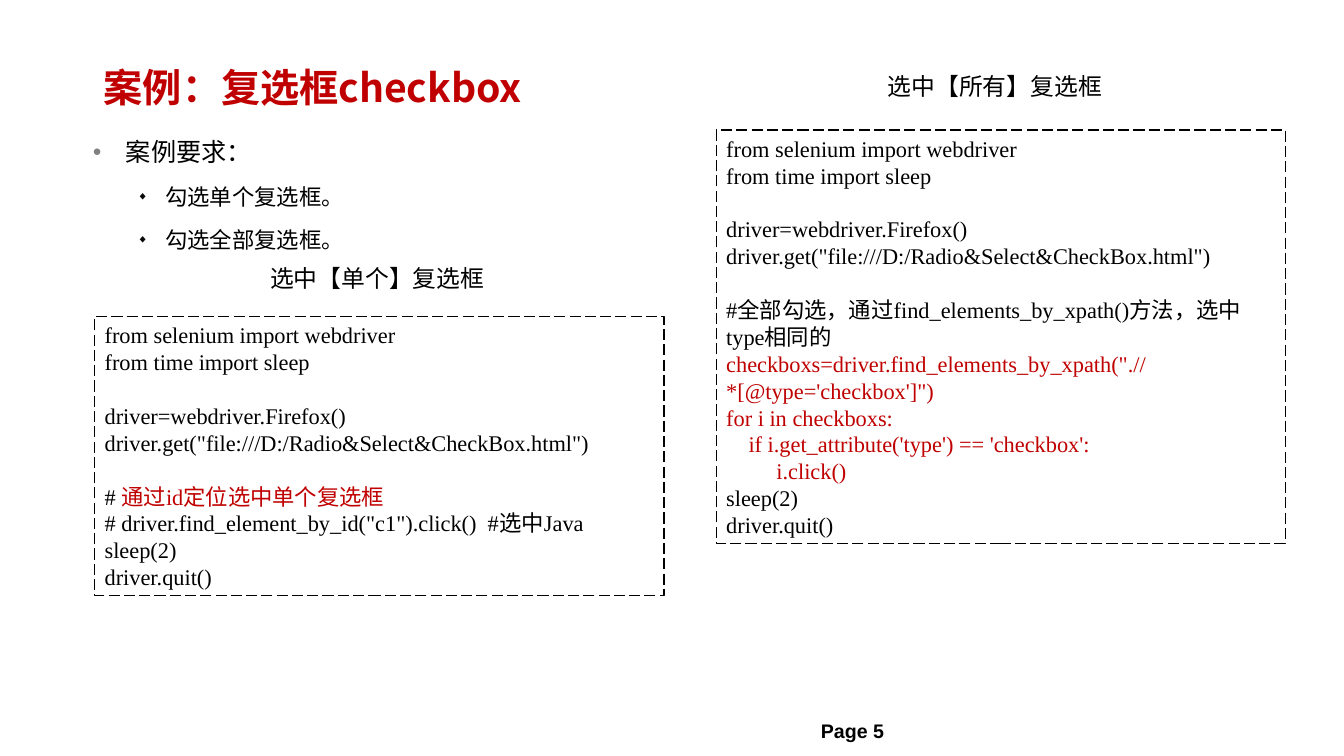
from lxml import etree
from pptx import Presentation
from pptx import util as u
from pptx.dml.color import RGBColor
from pptx.enum import dml, shapes, text
from pptx.oxml.ns import qn

BLACK = RGBColor(0x00, 0x00, 0x00)
WHITE = RGBColor(0xFF, 0xFF, 0xFF)
RED = RGBColor(0xC0, 0x00, 0x00)
SANS, SERIF, PAGE_FONT = "Noto Sans CJK SC", "Times New Roman", "Arial"

# Content; areas are left, top, width, height in percent of the slide
WIDTH, HEIGHT = u.Inches(13.34), u.Inches(7.5)

TITLE = "案例：复选框checkbox"
TITLE_AREA = (7.05, 5.2, 84.48, 12.67)

BODY = [(0, "案例要求："), (1, "勾选单个复选框。"), (1, "勾选全部复选框。")]
BODY_AREA = (6.22, 16.27, 37.86, 19.33)
# level: (size, space before, left indent, hanging, bullet, bullet colour, bullet percent)
LEVELS = {
    0: (18, 0, 0.33, 0.33, "●", "808080", 60),
    1: (16, 6, 0.72, 0.28, "◆", "080808", 50),
}

PAGE = "Page 5"
PAGE_AREA = (60.34, 94.4, 12.29, 4.27)

# Code lines are lists of (text, colour) pieces
SETUP = [[(line, BLACK)] if line else [] for line in (
    "from selenium import webdriver",
    "from time import sleep",
    "",
    "driver=webdriver.Firefox()",
    'driver.get("file:///D:/Radio&Select&CheckBox.html")',
    "",
)]
FINISH = [[("sleep(2)", BLACK)], [("driver.quit()", BLACK)]]
SINGLE = [
    [("# ", BLACK), ("通过id定位选中单个复选框", RED)],
    [('# driver.find_element_by_id("c1").click()  #选中Java', BLACK)],
]
ALL = [
    [("#全部勾选，通过find_elements_by_xpath()方法，选中type相同的", BLACK)],
    [("checkboxs=driver.find_elements_by_xpath(\".//*[@type='checkbox']\")", RED)],
    [("for i in checkboxs:", RED)],
    [("    if i.get_attribute('type') == 'checkbox':", RED)],
    [("         i.click()", RED)],
]
# caption, caption area, code, code area
PANELS = [
    ("选中【单个】复选框", (18.29, 34.27, 19.57, 5.2),
     SINGLE, (7.05, 41.87, 42.35, 36.93)),
    ("选中【所有】复选框", (64.24, 8.8, 19.57, 5.2),
     ALL, (53.3, 17.2, 42.35, 54.67)),
]


def place(area):
    return [int(share * side / 100) for share, side in zip(area, (WIDTH, HEIGHT) * 2)]


def move(sp, area):
    sp.left, sp.top, sp.width, sp.height = place(area)


def frame(sp, anchor=text.MSO_ANCHOR.TOP, inset=(0.1, 0.05)):
    tf = sp.text_frame
    tf.word_wrap = True
    tf.auto_size = text.MSO_AUTO_SIZE.NONE
    tf.vertical_anchor = anchor
    tf.margin_left = tf.margin_right = u.Inches(inset[0])
    tf.margin_top = tf.margin_bottom = u.Inches(inset[1])
    return tf


def style(r, size, font, color=BLACK, bold=False):
    r.font.size, r.font.name, r.font.bold = u.Pt(size), font, bold
    r.font.color.rgb = color
    ea = etree.SubElement(r.font._element, qn("a:ea"))
    ea.set("typeface", SANS)


def add_bullet(p, left, hanging, char, color, percent):
    pPr = p._p.get_or_add_pPr()
    pPr.set("marL", str(u.Inches(left)))
    pPr.set("indent", str(-u.Inches(hanging)))
    clr = etree.SubElement(pPr, qn("a:buClr"))
    etree.SubElement(clr, qn("a:srgbClr")).set("val", color)
    etree.SubElement(pPr, qn("a:buSzPct")).set("val", str(percent * 1000))
    etree.SubElement(pPr, qn("a:buChar")).set("char", char)


def add_label(slide, label, area, size, font, align, bold=False):
    tf = frame(slide.shapes.add_textbox(*place(area)))
    tf.text = label
    p = tf.paragraphs[0]
    p.alignment = align
    style(p.runs[0], size, font, bold=bold)


def add_code(slide, lines, area):
    sp = slide.shapes.add_shape(shapes.MSO_SHAPE.RECTANGLE, *place(area))
    sp.shadow.inherit = False
    sp.fill.solid()
    sp.fill.fore_color.rgb = WHITE
    sp.line.color.rgb = BLACK
    sp.line.width = u.Pt(1)
    sp.line.dash_style = dml.MSO_LINE.LONG_DASH
    p = frame(sp).paragraphs[0]
    p.alignment = text.PP_ALIGN.LEFT
    for i, line in enumerate(lines):
        if i:
            p.add_line_break()
        for piece, color in line:
            r = p.add_run()
            r.text = piece
            style(r, 16, SERIF, color)
    # Blank lines take their height from the break
    for br in p._p.findall(qn("a:br")):
        etree.SubElement(br, qn("a:rPr")).set("sz", "1600")


def main():
    prs = Presentation()
    prs.slide_width, prs.slide_height = WIDTH, HEIGHT
    slide = prs.slides.add_slide(prs.slide_layouts[1])
    title, body = slide.placeholders

    # Title
    move(title, TITLE_AREA)
    tf = frame(title, text.MSO_ANCHOR.MIDDLE, (0.09, 0.04))
    tf.text = TITLE
    tf.paragraphs[0].alignment = text.PP_ALIGN.LEFT
    style(tf.paragraphs[0].runs[0], 28, SANS, RED, True)

    # Requirements list
    move(body, BODY_AREA)
    tf = frame(body, inset=(0.09, 0.04))
    tf.text = "\n".join(item for _, item in BODY)
    for p, (level, _) in zip(tf.paragraphs, BODY):
        size, before, *bullet = LEVELS[level]
        p.level = level
        add_bullet(p, *bullet)
        p.line_spacing = 1.3
        p.space_before = u.Pt(before)
        style(p.runs[0], size, SANS)

    # Captions and code panels
    for caption, caption_area, code, code_area in PANELS:
        add_code(slide, SETUP + code + FINISH, code_area)
        add_label(slide, caption, caption_area, 17, SANS, text.PP_ALIGN.CENTER)

    # Page number
    add_label(slide, PAGE, PAGE_AREA, 14, PAGE_FONT, text.PP_ALIGN.LEFT, True)
    prs.save("out.pptx")


if __name__ == "__main__":
    main()
